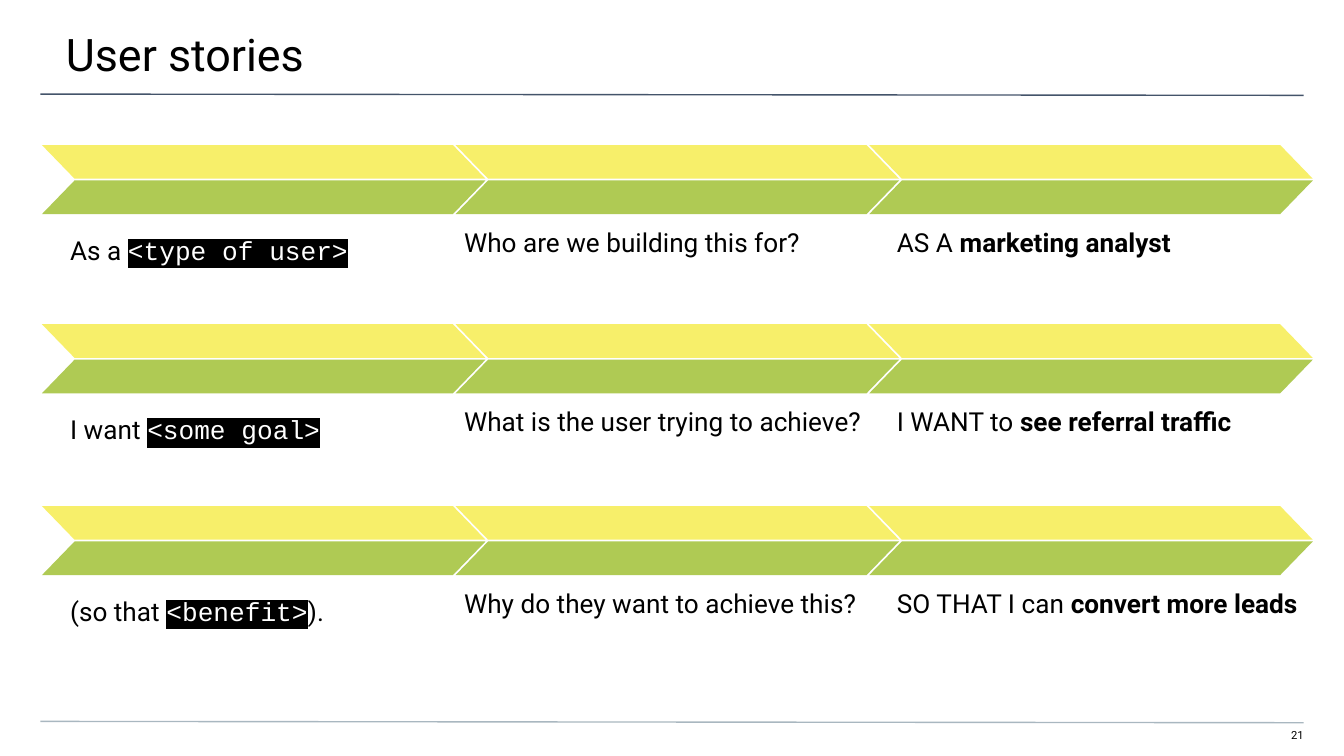
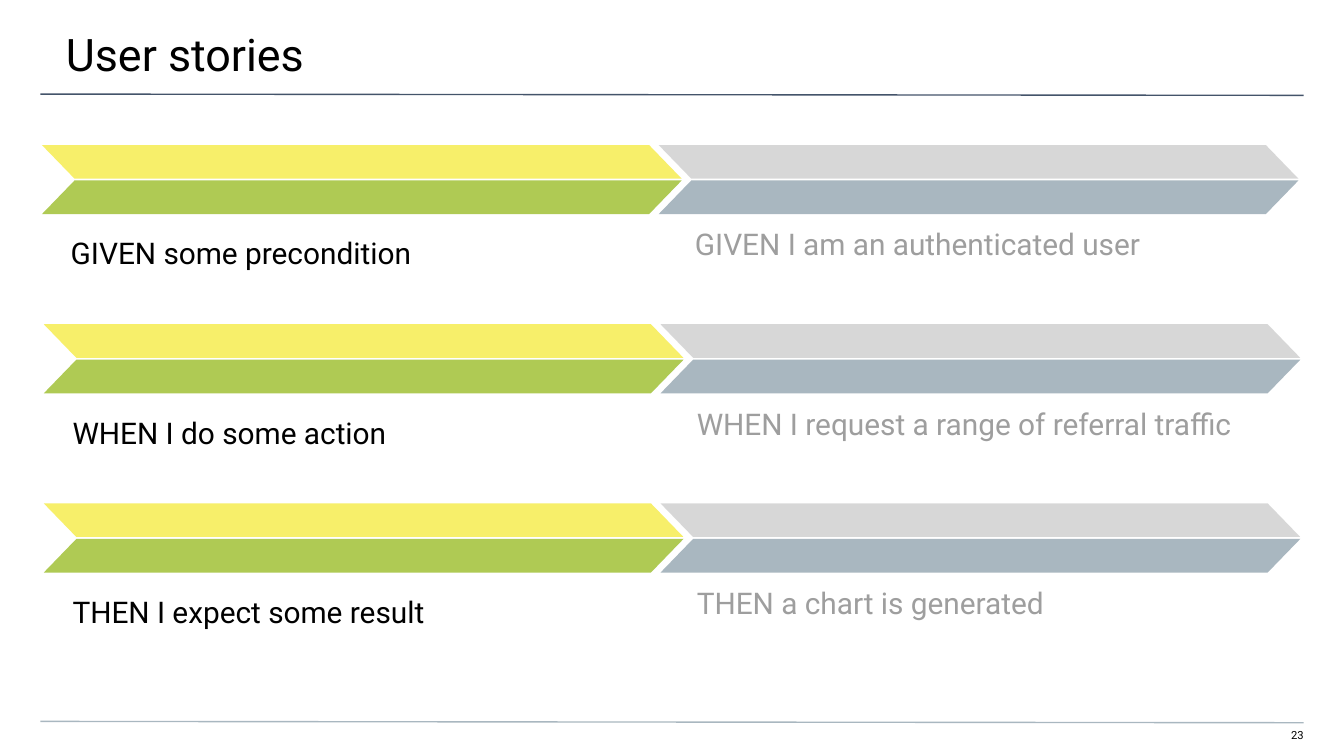
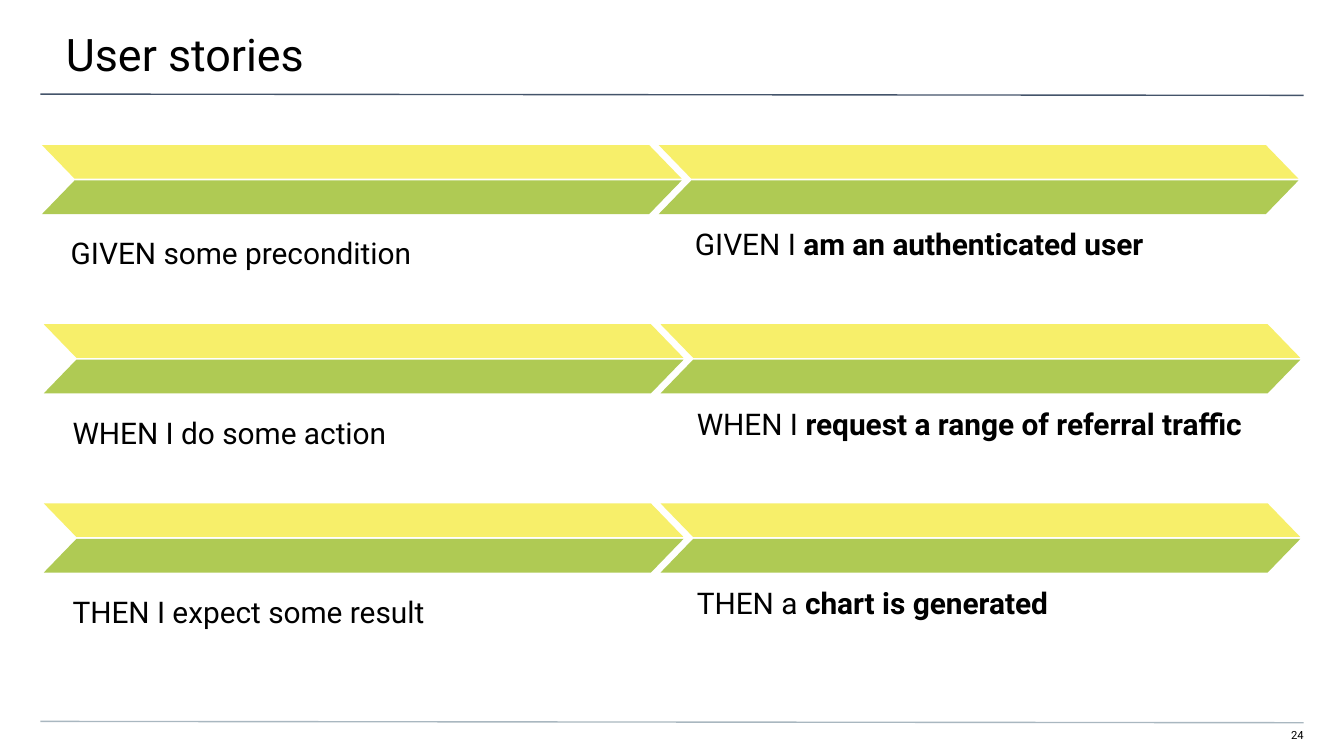
from dataclasses import dataclass
from typing import Any

import lxml.etree
import pptx
import pptx.dml.color
import pptx.enum.shapes
import pptx.enum.text
import pptx.oxml.ns
import pptx.util

Pt = pptx.util.Pt
qn = pptx.oxml.ns.qn

# Shared look
COLOURS = {
    "ink": "000000", "paper": "FFFFFF", "faded": "9E9E9E",
    "yellow": "F7EF6A", "green": "AFCA54",
    "light": "D4D4D4", "slate": "A9B7C0", "navy": "44546A",
}
LIGHT_OPACITY = 91000
FONT = "Roboto"
CODE_FONT = "Courier New"
BAR_HEIGHT = 18
BAR_STEP = 19
BAR_SLANT = 0.97
CAPTION_HEIGHT = 29.5
CAPTION_INSETS = (7.2, 7.2, 7.2, 0)
LABEL_FORMAT = {"line_spacing": 1.15}
ANSWER_FORMAT = {"space_after": Pt(16)}


@dataclass(frozen=True)
class Span:
    text: str
    bold: bool = False
    code: bool = False
    colour: str = "ink"


@dataclass(frozen=True)
class Caption:
    spans: tuple[Span, ...]
    width: float


@dataclass(frozen=True)
class Column:
    caption_left: float
    caption_drop: float
    paragraph_format: dict[str, Any]
    upper: str = "yellow"
    lower: str = "green"


@dataclass(frozen=True)
class Row:
    top: float
    captions: tuple[Caption, ...]
    shift: float = 0


@dataclass(frozen=True)
class Story:
    number: int
    text_size: float
    bar_width: float
    bar_pitch: float
    columns: tuple[Column, ...]
    rows: tuple[Row, ...]
    bar_left: float = 22.5


def rgb(name: str) -> pptx.dml.color.RGBColor:
    return pptx.dml.color.RGBColor.from_string(COLOURS[name])


def add_text(page: Any, area: tuple[float, ...], spans: tuple[Span, ...], size: float,
             insets: tuple[float, ...], paragraph_format: dict[str, Any]) -> None:
    box = page.shapes.add_textbox(*map(Pt, area))
    frame = box.text_frame
    frame_format = {"word_wrap": True, "vertical_anchor": pptx.enum.text.MSO_ANCHOR.TOP}
    for side, inset in zip(("left", "top", "right", "bottom"), insets):
        frame_format[f"margin_{side}"] = Pt(inset)
    for name, value in frame_format.items():
        setattr(frame, name, value)
    para = frame.paragraphs[0]
    for name, value in paragraph_format.items():
        setattr(para, name, value)
    for span in spans:
        run = para.add_run()
        run.text = span.text
        font_format = {"size": Pt(size), "bold": span.bold,
                       "name": CODE_FONT if span.code else FONT}
        for name, value in font_format.items():
            setattr(run.font, name, value)
        run.font.color.rgb = rgb("paper" if span.code else span.colour)
        if span.code:
            highlight = lxml.etree.Element(qn("a:highlight"))
            lxml.etree.SubElement(highlight, qn("a:srgbClr"), val=COLOURS["ink"])
            run.font._element.find(qn("a:solidFill")).addnext(highlight)


def add_rule(page: Any, top: float, colour: str) -> None:
    rule = page.shapes.add_connector(pptx.enum.shapes.MSO_CONNECTOR.STRAIGHT,
                                     Pt(21.6), Pt(top), Pt(698.4), Pt(top + 0.7))
    rule.line.color.rgb = rgb(colour)
    rule.line.width = Pt(0.75)
    lxml.etree.SubElement(rule._element.spPr, qn("a:effectLst"))


def add_bar(page: Any, left: float, top: float, width: float, colour: str,
            flipped: bool) -> None:
    bar = page.shapes.add_shape(pptx.enum.shapes.MSO_SHAPE.PARALLELOGRAM,
                                Pt(left), Pt(top), Pt(width), Pt(BAR_HEIGHT))
    bar.adjustments[0] = BAR_SLANT
    bar.shadow.inherit = False
    bar.line.fill.background()
    bar.fill.solid()
    bar.fill.fore_color.rgb = rgb(colour)
    if flipped:
        bar._element.spPr.xfrm.set("flipH", "1")
    if colour == "light":
        tint = bar._element.spPr.find(qn("a:solidFill"))[0]
        lxml.etree.SubElement(tint, qn("a:alpha"), val=str(LIGHT_OPACITY))


def add_frame(page: Any, number: int) -> None:
    """Title, rules and page number."""
    add_text(page, (677.5, 390.2, 20.9, 8.6), (Span(str(number)),), 6, (0, 0, 0, 7.2),
             {"alignment": pptx.enum.text.PP_ALIGN.RIGHT})
    add_rule(page, 50.4, "navy")
    add_rule(page, 386.5, "slate")
    add_text(page, (-0.7, 0, 722, 41.8), (Span("User stories"),), 24,
             (36, 14.4, 21.6, 7.2), {})


def draw_story(deck: Any, story: Story) -> None:
    page = deck.slides.add_slide(deck.slide_layouts[6])
    add_frame(page, story.number)
    for row in story.rows:
        for index, (column, caption) in enumerate(zip(story.columns, row.captions)):
            left = story.bar_left + row.shift + index * story.bar_pitch
            add_bar(page, left, row.top, story.bar_width, column.upper, True)
            add_bar(page, left, row.top + BAR_STEP, story.bar_width, column.lower, False)
            area = (column.caption_left + row.shift, row.top + column.caption_drop,
                    caption.width, CAPTION_HEIGHT)
            add_text(page, area, caption.spans, story.text_size, CAPTION_INSETS,
                     column.paragraph_format)


# Story template: role, goal and benefit
def template_row(top: float, label: tuple[Span, ...], question: str, question_width: float,
                 lead: str, example: str, example_width: float) -> Row:
    return Row(top, (Caption(label, 205), Caption((Span(question),), question_width),
                     Caption((Span(lead), Span(example, bold=True)), example_width)))


TEMPLATE = Story(
    number=21, text_size=14, bar_width=237.6, bar_pitch=221.6,
    columns=(Column(30.5, 38.2, LABEL_FORMAT), Column(241.5, 36.2, ANSWER_FORMAT),
             Column(473.4, 36.4, ANSWER_FORMAT)),
    rows=(
        template_row(77.7, (Span("As a "), Span("<type of user>", code=True)),
                     "Who are we building this for?", 226,
                     "AS A ", "marketing analyst", 186),
        template_row(173.7, (Span("I want "), Span("<some goal>", code=True)),
                     "What is the user trying to achieve?", 251,
                     "I WANT to ", "see referral traffic", 238),
        template_row(271.1, (Span("(so that "), Span("<benefit>", code=True), Span(").")),
                     "Why do they want to achieve this?", 226,
                     "SO THAT I can ", "convert more leads", 242),
    ),
)

# Acceptance criteria: first faded, then filled in
CRITERIA = (
    ("GIVEN some precondition", "GIVEN I", " am an authenticated user"),
    ("WHEN I do some action", "WHEN I ", "request a range of referral traffic"),
    ("THEN I expect some result", "THEN a ", "chart is generated"),
)


def criteria_story(number: int, faded: bool) -> Story:
    rows = []
    for index, (label, lead, example) in enumerate(CRITERIA):
        if faded:
            answer = (Span(lead + example, colour="faded"),)
        else:
            answer = (Span(lead), Span(example, bold=True))
        rows.append(Row(77.7 + 96 * index,
                        (Caption((Span(label),), 293), Caption(answer, 312)),
                        shift=1 if index else 0))
    upper, lower = ("light", "slate") if faded else ("yellow", "green")
    columns = (Column(30.8, 38.2, LABEL_FORMAT),
               Column(365.2, 36.2, ANSWER_FORMAT, upper, lower))
    return Story(number, 16, 342.7, 330.4, columns, tuple(rows))


def main() -> None:
    deck = pptx.Presentation()
    deck.slide_width, deck.slide_height = Pt(720), Pt(405)
    for story in (TEMPLATE, criteria_story(23, faded=True), criteria_story(24, faded=False)):
        draw_story(deck, story)
    deck.save("out.pptx")


if __name__ == "__main__":
    main()
